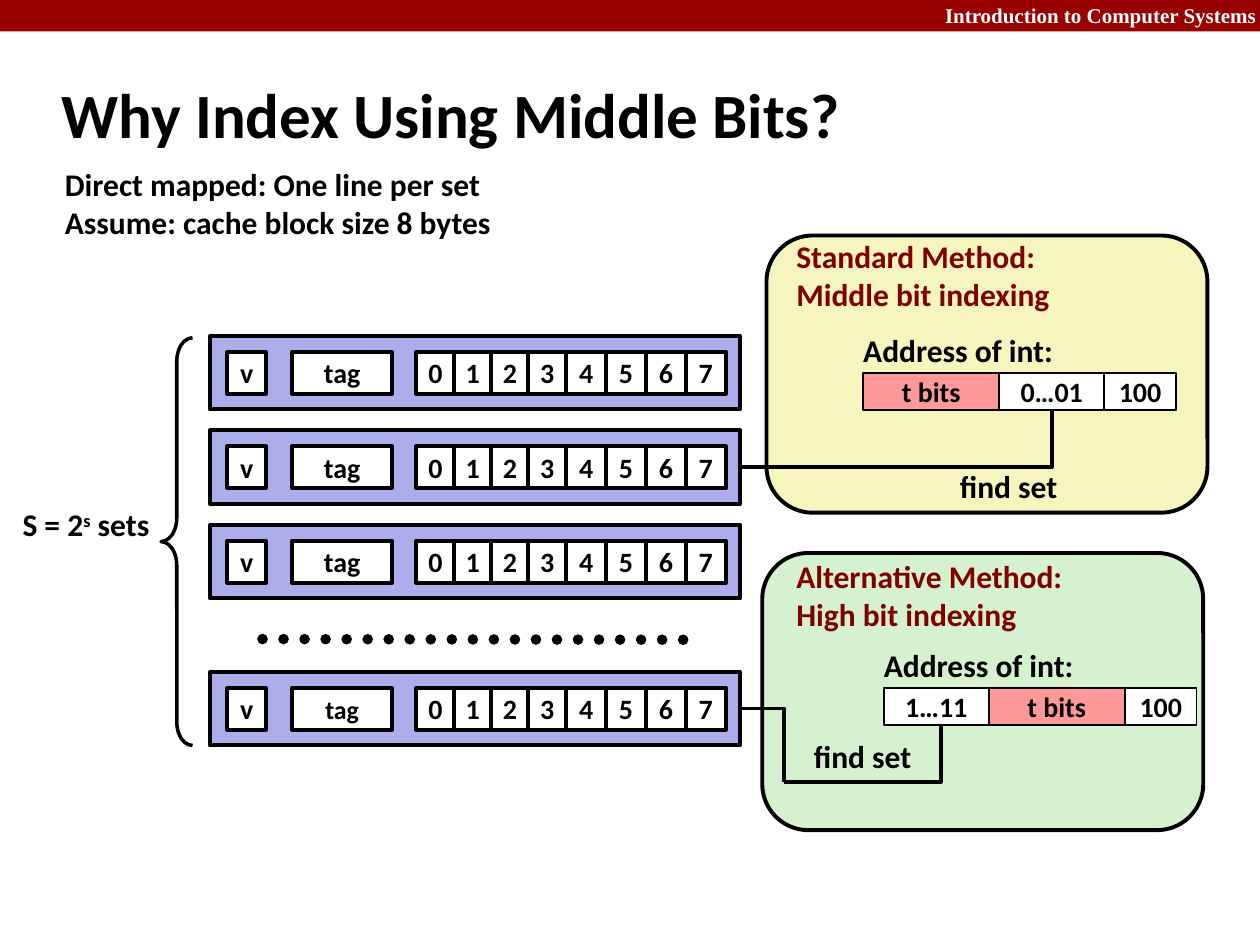
from lxml.etree import SubElement as Sub
from pptx import Presentation
from pptx.dml.color import RGBColor as Rgb
from pptx.enum.dml import MSO_LINE as Dash
from pptx.enum.shapes import MSO_CONNECTOR as Link, MSO_SHAPE as Form
from pptx.enum.text import MSO_ANCHOR as Anchor, MSO_AUTO_SIZE as Fit, PP_ALIGN as Align
from pptx.oxml.ns import qn
from pptx.util import Pt


def color(code):
    return Rgb.from_string(code)


def write(frame, text, size=18, font="Calibri", ink="000000", align=Align.LEFT,
          anchor=Anchor.TOP, wrap=False):
    frame.word_wrap = wrap
    frame.vertical_anchor = anchor
    for row, line in enumerate(text.split("\n")):
        para = frame.add_paragraph() if row else frame.paragraphs[0]
        para.alignment = align
        for part, piece in enumerate(line.split("^")):
            run = para.add_run()
            run.text = piece
            run.font.size = Pt(size)
            run.font.name = font
            run.font.bold = True
            run.font.color.rgb = color(ink)
            if part % 2:
                run.font._element.set("baseline", "30000")


class Page:
    black, white, pink, lilac = "000000", "FFFFFF", "FF9999", "ADADEB"
    red, maroon = "990000", "800000"

    def __init__(self, deck):
        self.slide = deck.slides.add_slide(deck.slide_layouts[5])
        self.area = self.slide.shapes

    def group(self):
        self.area = self.slide.shapes.add_group_shape().shapes

    def title(self, text, *spot):
        head = self.slide.shapes.title
        head.left, head.top, head.width, head.height = map(Pt, spot)
        head.text_frame.auto_size = Fit.NONE
        write(head.text_frame, text, size=36, anchor=Anchor.MIDDLE, wrap=True)

    def shape(self, form, *spot, fill=None, line=2.25):
        item = self.area.add_shape(form, *map(Pt, spot))
        item.shadow.inherit = False
        if fill:
            item.fill.solid()
            item.fill.fore_color.rgb = color(fill)
        else:
            item.fill.background()
        if line:
            item.line.width = Pt(line)
            item.line.color.rgb = color(self.black)
        else:
            item.line.fill.background()
        return item

    def cell(self, text, *spot, fill=white, line=2.25, size=16):
        item = self.shape(Form.RECTANGLE, *spot, fill=fill, line=line)
        write(item.text_frame, text, size=size, align=Align.CENTER, anchor=Anchor.MIDDLE)

    def label(self, text, *spot, **style):
        box = self.area.add_textbox(*map(Pt, spot))
        write(box.text_frame, text, **style)

    def link(self, kind, *ends, width=2):
        item = self.area.add_connector(kind, *map(Pt, ends))
        item.line.width = Pt(width)
        item.line.color.rgb = color(self.black)
        Sub(item._element.spPr, qn("a:effectLst"))
        return item

    def dots(self, *ends):
        item = self.link(Link.STRAIGHT, *ends, width=6)
        item.line.dash_style = Dash.ROUND_DOT
        item._element.spPr.find(qn("a:ln")).set("cap", "rnd")

    def bend(self, *ends):
        item = self.link(Link.ELBOW, *ends)
        geom = item._element.spPr.find(qn("a:prstGeom"))
        guides = geom.find(qn("a:avLst"))
        if guides is None:
            guides = Sub(geom, qn("a:avLst"))
        Sub(guides, qn("a:gd"), name="adj1", fmla="val 100000")

    def set(self, top, size=16):
        self.shape(Form.RECTANGLE, 120, top, 303, 42, fill=self.lilac)
        y, high = top + 9, 24
        self.cell("v", 130, y, 22, high)
        self.cell("tag", 167, y, 57, high, size=size)
        for byte in range(8):
            if byte < 4:
                x, wide = 238 + 21.3 * byte, 21.6
            else:
                x, wide = 323.4 + 22.8 * (byte - 4), 23
            self.cell(str(byte), x, y, wide, high)

    def panel(self, text, left, top, fill, head, wide, wrap):
        self.group()
        self.shape(Form.ROUNDED_RECTANGLE, left, top, 252, 158.4, fill=fill)
        self.label(text, 448, head, wide, 51, ink=self.maroon, wrap=wrap)

    def address(self, left, top, parts):
        self.label("Address of int:", left - 7, top - 27.4, 124, 29)
        for text, wide in parts:
            fill = self.pink if text == "t bits" else self.white
            self.cell(text, left, top, wide, 21.4, fill=fill, line=1)
            left += wide


def main():
    deck = Presentation()
    deck.slide_width, deck.slide_height = Pt(720), Pt(540)
    page = Page(deck)
    page.shape(Form.RECTANGLE, 0, 0, 720, 18, fill=page.red, line=0)
    page.label("Introduction to Computer Systems", 432, -2, 293, 22, size=12,
               font="Times New Roman", ink=page.white, align=Align.RIGHT, wrap=True)
    page.title("Why Index Using Middle Bits?", 28, 34.6, 598, 60)
    brace = page.shape(Form.LEFT_BRACE, 92, 193, 18, 233, line=2)
    brace.adjustments[0] = 0.75
    page.label("S = 2^s^ sets", 5.8, 285, 88.6, 29)
    page.dots(150, 365.2, 396, 365.6)
    page.label("Direct mapped: One line per set\nAssume: cache block size 8 bytes",
               30, 90.7, 260, 51)

    for top in (192, 246, 300):
        page.set(top)
    page.set(384, size=14.8)

    page.panel("Standard Method:\nMiddle bit indexing", 438, 134.6, "F6F5BD",
               131.8, 240, True)
    page.address(493.2, 213, [("t bits", 77.8), ("0…01", 60), ("100", 41)])
    page.bend(423.4, 267, 601.2, 234)
    page.label("find set", 541.4, 263.5, 70.6, 29)

    page.panel("Alternative Method:\nHigh bit indexing", 435.6, 316, "D5F1CF",
               314.6, 168.5, False)
    page.address(505, 393, [("1…11", 60), ("t bits", 77.8), ("100", 41)])
    page.label("find set", 458, 417.6, 70.6, 29)
    page.bend(448, 447, 537.6, 414)
    page.bend(423.4, 404.8, 448, 447)

    deck.save("out.pptx")


if __name__ == "__main__":
    main()
